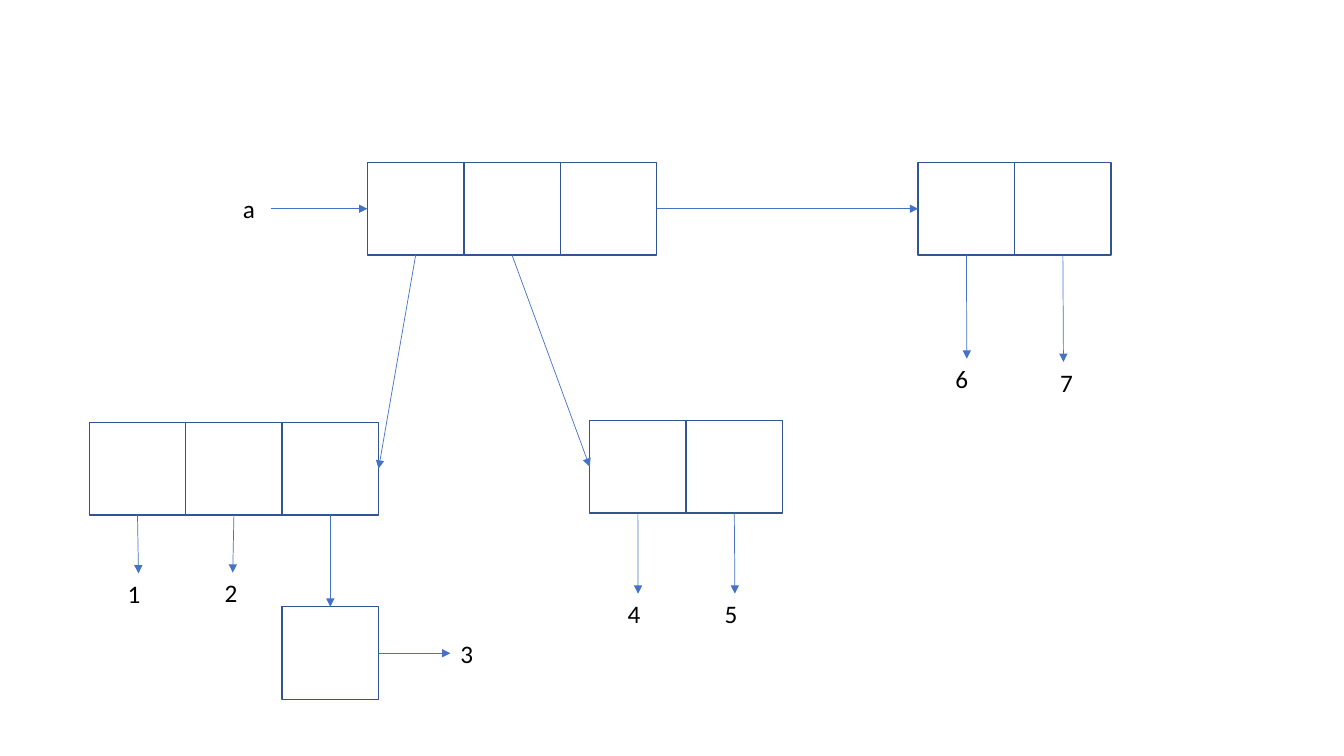
from pptx import Presentation
from pptx.dml.color import RGBColor
from pptx.enum.shapes import MSO_CONNECTOR, MSO_SHAPE
from pptx.enum.text import MSO_AUTO_SIZE
from pptx.oxml.ns import qn
from pptx.util import Cm, Pt
from lxml.etree import SubElement

BLACK = RGBColor(0x00, 0x00, 0x00)
WHITE = RGBColor(0xFF, 0xFF, 0xFF)
BORDER = RGBColor(0x32, 0x54, 0x91)
ARROW = RGBColor(0x44, 0x72, 0xC4)

TOP, LEFT, BOTTOM, RIGHT = range(4)


def write_text(tf, text, font="Calibri", size=18, color=BLACK):
    r = tf.paragraphs[0].add_run()
    r.text = text
    r.font.name = font
    r.font.size = Pt(size)
    r.font.color.rgb = color


class ListDiagram:
    """Draws nested lists as rows of cells joined by arrows."""

    cell_w, cell_h, label_h = 2.43, 2.34, 1.02

    def __init__(self, slide):
        self.shapes = slide.shapes

    def cells(self, x, y, count):
        """Draw a row of touching cells and return them from left to right."""
        row = []
        for i in range(count):
            sp = self.shapes.add_shape(
                MSO_SHAPE.RECTANGLE, Cm(x + i * self.cell_w), Cm(y),
                Cm(self.cell_w), Cm(self.cell_h))
            sp.shadow.inherit = False
            sp.fill.solid()
            sp.fill.fore_color.rgb = WHITE
            sp.line.color.rgb = BORDER
            sp.line.width = Pt(1)
            row.append(sp)
        return row

    def label(self, text, x, y, width):
        sp = self.shapes.add_textbox(Cm(x), Cm(y), Cm(width), Cm(self.label_h))
        tf = sp.text_frame
        tf.word_wrap = True
        tf.auto_size = MSO_AUTO_SIZE.SHAPE_TO_FIT_TEXT
        write_text(tf, text)
        return sp

    def arrow(self, source, target, start=BOTTOM, end=TOP):
        """Join the middle of one side of source to that of target."""
        line = self.shapes.add_connector(MSO_CONNECTOR.STRAIGHT, 0, 0, 0, 0)
        line.begin_connect(source, start)
        line.end_connect(target, end)
        line.line.color.rgb = ARROW
        line.line.width = Pt(0.5)
        SubElement(line.line._get_or_add_ln(), qn("a:tailEnd"), type="triangle")
        SubElement(line._element.spPr, qn("a:effectLst"))


def main():
    prs = Presentation()
    prs.slide_width, prs.slide_height = Cm(33.87), Cm(19.05)
    d = ListDiagram(prs.slides.add_slide(prs.slide_layouts[6]))

    root = d.cells(9.26, 4.09, 3)
    rest = d.cells(23.14, 4.09, 2)
    pair = d.cells(14.86, 10.59, 2)
    nested = d.cells(2.25, 10.64, 3)
    inner = d.cells(7.11, 15.29, 1)

    d.arrow(d.label("a", 5.87, 4.75, 0.97), root[0], RIGHT, LEFT)
    d.arrow(root[2], rest[0], RIGHT, LEFT)
    d.arrow(root[1], pair[0], BOTTOM, LEFT)
    d.arrow(root[0], nested[2], BOTTOM, RIGHT)
    d.arrow(nested[2], inner[0])

    for cell, text, x, y, width in (
        (nested[0], "1", 2.97, 14.45, 1.04),
        (nested[1], "2", 5.41, 14.43, 0.91),
        (pair[0], "4", 15.57, 14.96, 1.02),
        (pair[1], "5", 18.01, 14.96, 1.02),
        (rest[0], "6", 23.83, 9.04, 1.07),
        (rest[1], "7", 26.47, 9.12, 0.66),
    ):
        d.arrow(cell, d.label(text, x, y, width))
    d.arrow(inner[0], d.label("3", 11.35, 15.95, 1.17), RIGHT, LEFT)

    prs.save("out.pptx")


if __name__ == "__main__":
    main()
